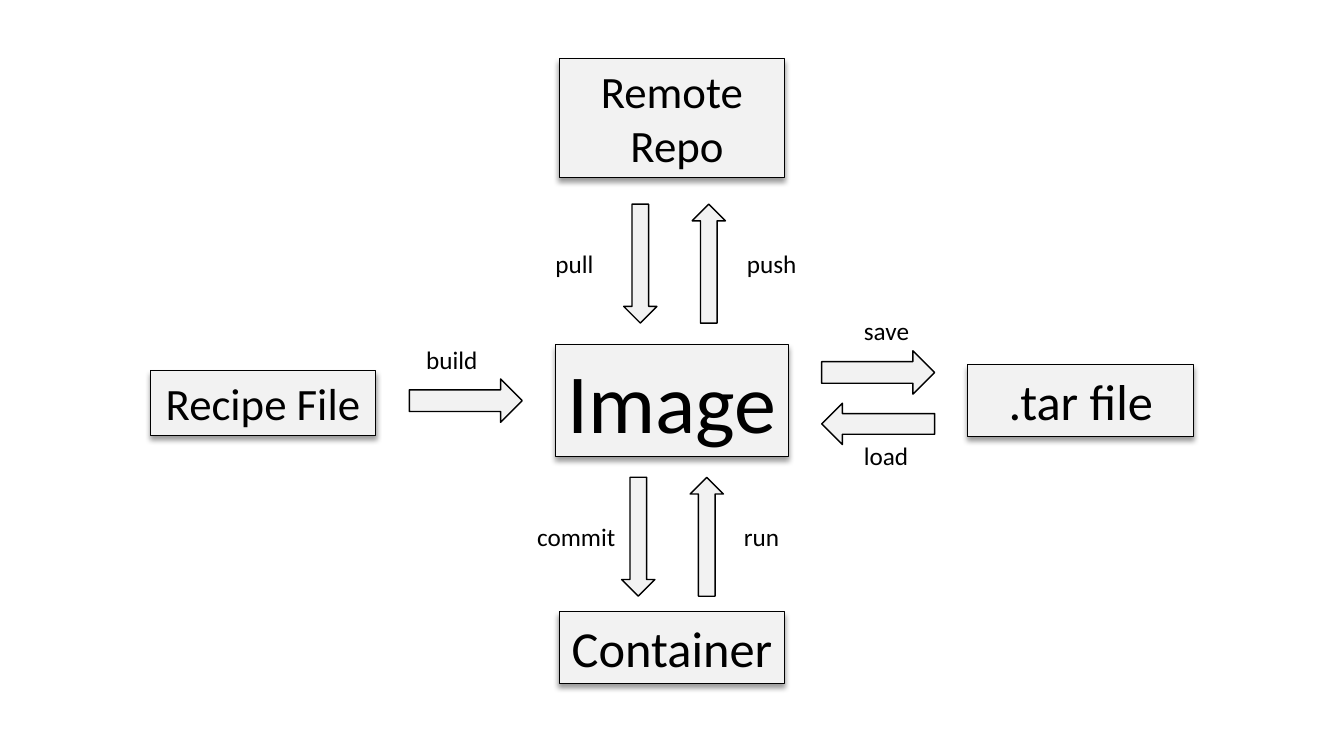
from lxml.etree import SubElement
from pptx import Presentation
from pptx.dml.color import RGBColor
from pptx.enum.shapes import MSO_SHAPE as Shape
from pptx.enum.text import MSO_ANCHOR as Anchor, MSO_AUTO_SIZE as AutoSize, PP_ALIGN as Align
from pptx.oxml.ns import qn
from pptx.util import Inches, Pt

BLACK = RGBColor(0x00, 0x00, 0x00)
PALE_GREY = RGBColor(0xF2, 0xF2, 0xF2)
FONT = "Calibri"
LABEL_SIZE = 18

# Places are percentages of the slide's width (x, width) and height (y, height).
MIDDLE_X, MIDDLE_Y = 50, 53
SIDE_BOX, SIDE_ARROW = 30.42, 15.34  # distance from the middle column
BOX_WIDTH = 16.8

# lines, text size, centre x, centre y, width, height
BOXES = [
    (["Image"], 60, MIDDLE_X, MIDDLE_Y, 17.33, 14.8),
    (["Container"], 36, MIDDLE_X, 85.67, BOX_WIDTH, 9.47),
    ([".tar file"], 36, MIDDLE_X + SIDE_BOX, MIDDLE_Y, BOX_WIDTH, 9.47),
    (["Recipe File"], 32, MIDDLE_X - SIDE_BOX, 53.33, BOX_WIDTH, 8.53),
    (["Remote", " Repo"], 32, MIDDLE_X, 15.6, BOX_WIDTH, 15.73),
]

RIGHT, DOWN, LEFT, UP = 0, 90, 180, 270
LENGTH = {RIGHT: 8.4, LEFT: 8.4, DOWN: 8.85, UP: 8.85}
THICKNESS = {RIGHT: 5.73, LEFT: 5.47, DOWN: 4.4, UP: 4.4}
LABEL_WIDTH, LABEL_HEIGHT = 8.18, 5.33

# label, direction, arrow centre x and y, label left and centre y
ARROWS = [
    ("save", RIGHT, MIDDLE_X + SIDE_ARROW, 49.27, 63.54, 43.73),
    ("load", LEFT, MIDDLE_X + SIDE_ARROW, 56.07, 63.54, 60.27),
    ("build", RIGHT, MIDDLE_X - SIDE_ARROW, MIDDLE_Y, 30.98, 47.6),
    ("pull", DOWN, 47.64, 34.87, 40.59, 34.8),
    ("push", UP, 52.74, 34.87, 54.84, 34.8),
    ("commit", DOWN, 47.49, 71, 39.23, 70.93),
    ("run", UP, 52.59, 71, 54.61, 70.93),
]

deck = Presentation()
deck.slide_width, deck.slide_height = Inches(13.33), Inches(7.5)
page = deck.slides.add_slide(deck.slide_layouts[6])


def frame(left, center_y, width, height):
    """Turn percentages into left, top, width and height on the slide."""
    return (int(deck.slide_width * left / 100),
            int(deck.slide_height * (center_y - height / 2) / 100),
            int(deck.slide_width * width / 100),
            int(deck.slide_height * height / 100))


def add_outlined(kind, center_x, center_y, width, height, line_width):
    shape = page.shapes.add_shape(kind, *frame(center_x - width / 2, center_y, width, height))
    shape.shadow.inherit = False
    shape.fill.solid()
    shape.fill.fore_color.rgb = PALE_GREY
    shape.line.color.rgb = BLACK
    shape.line.width = Pt(line_width)
    return shape


def cast_shadow(shape):
    """Put a soft black shadow straight below the shape."""
    effects = shape.fill._xPr.find(qn("a:effectLst"))
    shadow = SubElement(effects, qn("a:outerShdw"), blurRad=str(Pt(4)), dist=str(Pt(3)),
                        dir="5400000", algn="t", rotWithShape="0")
    color = SubElement(shadow, qn("a:srgbClr"), val=str(BLACK))
    SubElement(color, qn("a:alpha"), val="40000")


def write(shape, lines, size, align):
    text = shape.text_frame
    text.word_wrap = True
    text.auto_size = AutoSize.SHAPE_TO_FIT_TEXT
    text.vertical_anchor = Anchor.TOP
    for index, line in enumerate(lines):
        para = text.add_paragraph() if index else text.paragraphs[0]
        para.alignment = align
        span = para.add_run()
        span.text = line
        span.font.name = FONT
        span.font.size = Pt(size)
        span.font.color.rgb = BLACK


for lines, size, x, y, width, height in BOXES:
    box = add_outlined(Shape.RECTANGLE, x, y, width, height, 0.75)
    cast_shadow(box)
    write(box, lines, size, Align.CENTER)

for label, direction, x, y, label_left, label_y in ARROWS:
    arrow = add_outlined(Shape.RIGHT_ARROW, x, y, LENGTH[direction], THICKNESS[direction], 1)
    arrow.rotation = direction
    caption = page.shapes.add_textbox(*frame(label_left, label_y, LABEL_WIDTH, LABEL_HEIGHT))
    write(caption, [label], LABEL_SIZE, Align.LEFT)

deck.save("out.pptx")
